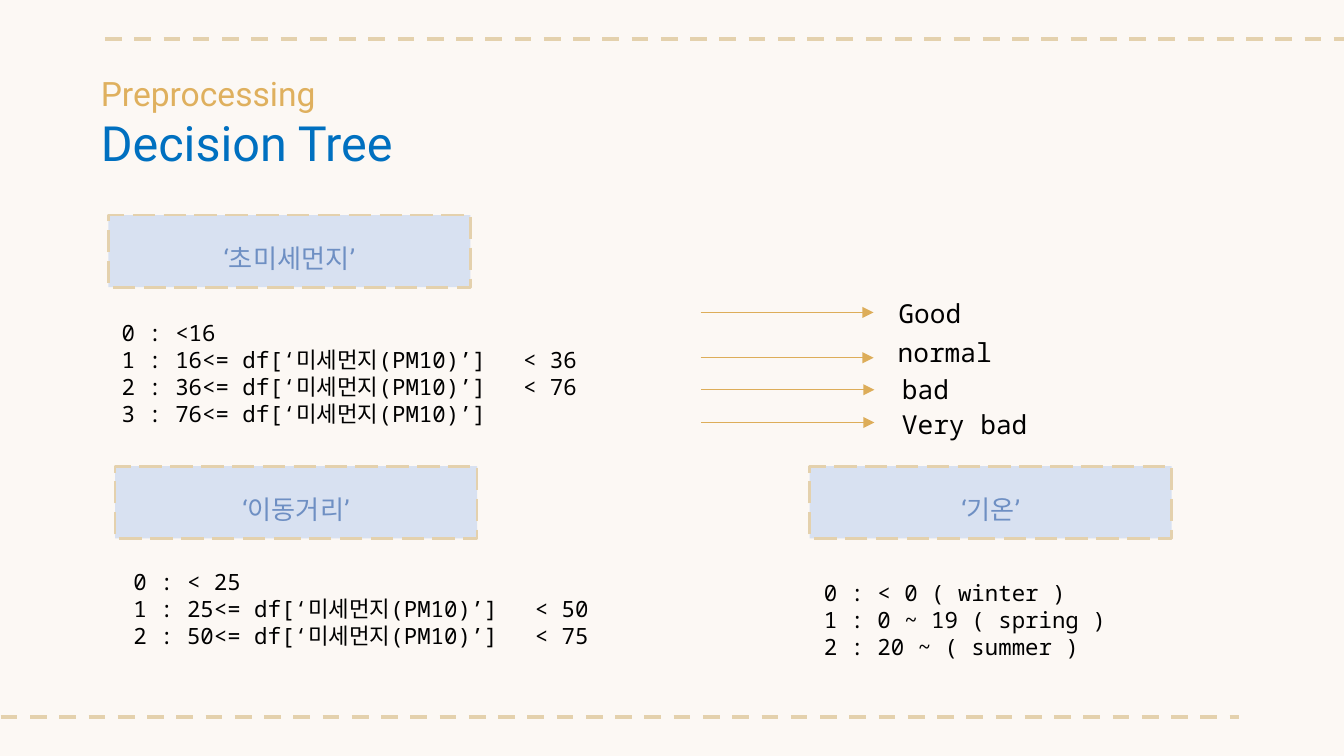
import lxml.etree
import pptx
import pptx.dml.color
import pptx.enum.dml
import pptx.enum.shapes
import pptx.enum.text
import pptx.oxml.ns
import pptx.util

RGBColor = pptx.dml.color.RGBColor
CREAM = RGBColor(0xFC, 0xF8, 0xF4)
SAND = RGBColor(0xE4, 0xD1, 0xAD)
GOLD = RGBColor(0xDD, 0xAD, 0x59)
TITLE_GOLD = RGBColor(0xDF, 0xB0, 0x5E)
TITLE_BLUE = RGBColor(0x00, 0x70, 0xC0)
PALE_BLUE = RGBColor(0xD8, 0xE1, 0xF1)
LABEL_BLUE = RGBColor(0x6E, 0x8F, 0xC3)
BLACK = RGBColor(0x00, 0x00, 0x00)

SANS = "Roboto"
MONO = "Noto Sans Mono"
EMU_PER_PX = 5715
TEXT_WIDTH = 835
UPPER_BOUND_TAB = 478

PM_LEVELS = [
    ("Good", (0, 26), (220, 0)),
    ("normal", (0, 80), (219, 46)),
    ("bad", (1, 118), (224, 91)),
    ("Very bad", (1, 157), (224, 132)),
]


def px(length):
    return pptx.util.Emu(length * EMU_PER_PX)


def add_element(parent, tag, **attributes):
    return lxml.etree.SubElement(parent, pptx.oxml.ns.qn(tag), attributes)


def add_run(paragraph, text, *, size, color, font=SANS):
    run = paragraph.add_run()
    run.text = text
    run.font.size = pptx.util.Pt(size)
    run.font.name = font
    run.font.color.rgb = color
    add_element(run.font._element, "a:ea", typeface=font)


def set_margins(frame, margin):
    frame.margin_left = frame.margin_right = px(margin)
    frame.margin_top = frame.margin_bottom = px(margin)


def add_line(slide, left, top, width, color, weight):
    line = slide.shapes.add_connector(
        pptx.enum.shapes.MSO_CONNECTOR.STRAIGHT,
        px(left), px(top), px(left + width), px(top))
    line.line.color.rgb = color
    line.line.width = pptx.util.Pt(weight)
    add_element(line._element.spPr, "a:effectLst")
    return line


def add_border(slide, left, top, width):
    border = add_line(slide, left, top, width, SAND, 2.25)
    border.line.dash_style = pptx.enum.dml.MSO_LINE.DASH


def add_arrow(slide, left, top, width):
    arrow = add_line(slide, left, top, width, GOLD, 0.75)
    add_element(arrow.line._get_or_add_ln(), "a:tailEnd", type="triangle")


def add_lines(slide, left, top, height, lines, size):
    box = slide.shapes.add_textbox(px(left), px(top), px(TEXT_WIDTH), px(height))
    frame = box.text_frame
    frame.word_wrap = True
    for index, line in enumerate(lines):
        paragraph = frame.add_paragraph() if index else frame.paragraphs[0]
        if "\t" in line:
            properties = paragraph._p.get_or_add_pPr()
            tabs = add_element(properties, "a:tabLst")
            add_element(tabs, "a:tab", pos=str(px(UPPER_BOUND_TAB)), algn="l")
        add_run(paragraph, line, size=size, color=BLACK, font=MONO)


def add_title(slide, left, top, width, height):
    title = slide.shapes.title
    title.left, title.top = px(left), px(top)
    title.width, title.height = px(width), px(height)
    frame = title.text_frame
    frame.word_wrap = True
    frame.vertical_anchor = pptx.enum.text.MSO_ANCHOR.TOP
    set_margins(frame, 16)
    paragraph = frame.paragraphs[0]
    paragraph.alignment = pptx.enum.text.PP_ALIGN.LEFT
    add_run(paragraph, "Preprocessing", size=18, color=TITLE_GOLD)
    paragraph.add_line_break()
    add_run(paragraph, "Decision Tree", size=26, color=TITLE_BLUE)


def add_category(slide, left, top, name, rules, rules_offset, rules_height):
    header = slide.shapes.add_shape(
        pptx.enum.shapes.MSO_SHAPE.RECTANGLE, px(left), px(top), px(431), px(86))
    header.shadow.inherit = False
    header.fill.solid()
    header.fill.fore_color.rgb = PALE_BLUE
    header.line.color.rgb = SAND
    header.line.width = pptx.util.Pt(1.5)
    header.line.dash_style = pptx.enum.dml.MSO_LINE.LONG_DASH
    frame = header.text_frame
    frame.word_wrap = True
    frame.vertical_anchor = pptx.enum.text.MSO_ANCHOR.BOTTOM
    set_margins(frame, 16)
    paragraph = frame.paragraphs[0]
    paragraph.alignment = pptx.enum.text.PP_ALIGN.CENTER
    add_run(paragraph, name, size=14, color=LABEL_BLUE)
    offset_left, offset_top = rules_offset
    add_lines(slide, left + offset_left, top + offset_top, rules_height, rules, 12)


def add_levels(slide, left, top):
    for label, (arrow_left, arrow_top), (label_left, label_top) in PM_LEVELS:
        add_arrow(slide, left + arrow_left, top + arrow_top, 206)
        add_lines(slide, left + label_left, top + label_top, 54, [label], 14)


def main():
    presentation = pptx.Presentation()
    presentation.slide_width, presentation.slide_height = px(1600), px(900)
    slide = presentation.slides.add_slide(presentation.slide_layouts[5])
    slide.background.fill.solid()
    slide.background.fill.fore_color.rgb = CREAM

    add_border(slide, 125, 46, 1509)
    add_border(slide, -34, 854, 1509)
    add_title(slide, 104, 71, 1349, 146)
    add_category(slide, 129, 256, "‘초미세먼지’", [
        "0 : <16",
        "1 : 16<= df[‘미세먼지(PM10)’]\t< 36",
        "2 : 36<= df[‘미세먼지(PM10)’]\t< 76",
        "3 : 76<= df[‘미세먼지(PM10)’]",
    ], (0, 116), 182)
    add_levels(slide, 834, 346)
    add_category(slide, 137, 555, "‘이동거리’", [
        "0 : < 25",
        "1 : 25<= df[‘미세먼지(PM10)’]\t< 50",
        "2 : 50<= df[‘미세먼지(PM10)’]\t< 75",
    ], (6, 114), 150)
    add_category(slide, 964, 555, "‘기온’", [
        "0 : < 0 ( winter )",
        "1 : 0 ~ 19 ( spring )",
        "2 : 20 ~ ( summer )",
    ], (1, 127), 114)
    presentation.save("out.pptx")


if __name__ == "__main__":
    main()
